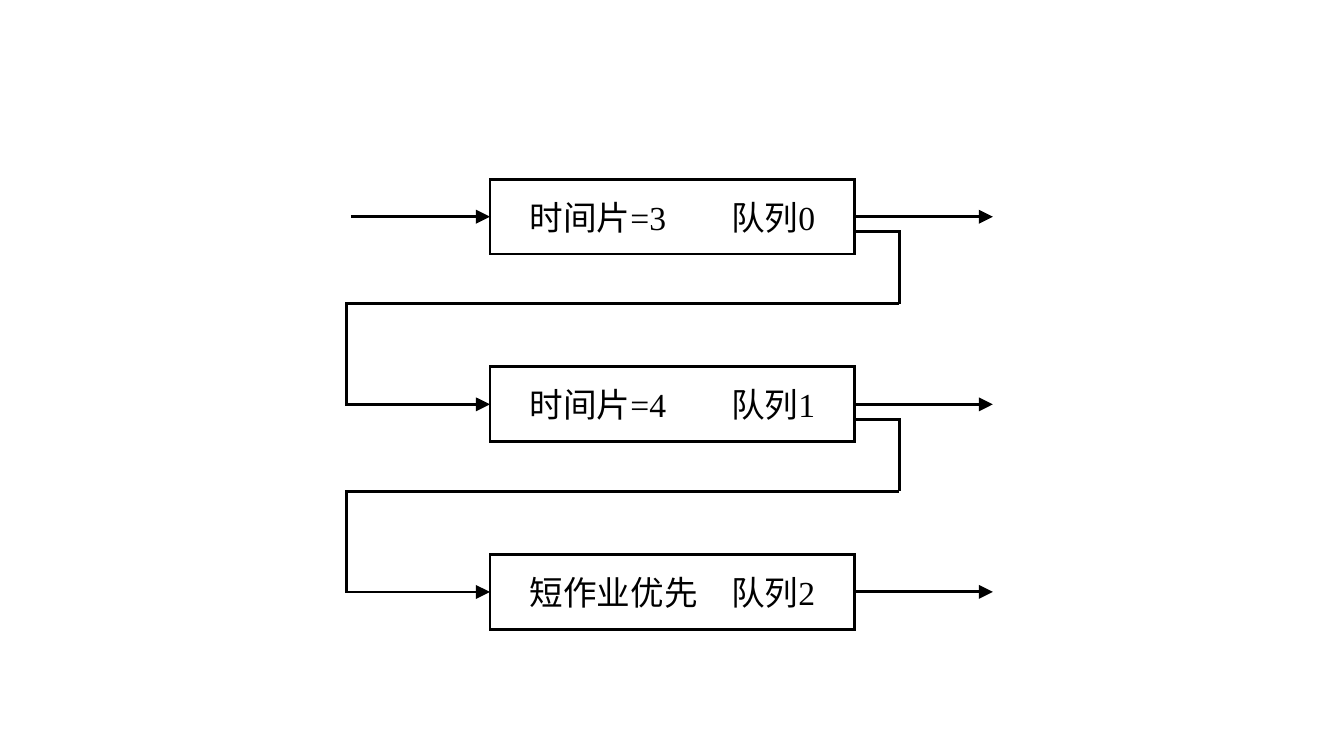
from dataclasses import dataclass

from lxml.etree import SubElement
from pptx import Presentation
from pptx.dml.color import RGBColor
from pptx.enum.shapes import MSO_CONNECTOR, MSO_SHAPE
from pptx.enum.text import MSO_ANCHOR, PP_ALIGN
from pptx.oxml.ns import qn
from pptx.util import Pt

BLACK = "000000"
FONT = "Times New Roman"
BOX_LEFT, BOX_WIDTH, BOX_HEIGHT = 350, 260.6, 53.4
BOX_RIGHT = BOX_LEFT + BOX_WIDTH
NAME_TAB = 144
FIRST_ROW, ROW_PITCH = 154.8, 134
ENTRY_X, EXIT_X = 250.6, 709.2
LOOP_LEFT, LOOP_RIGHT = 247.7, 642.2
LOOP_START, LOOP_TURN = 10.8, 62.2


@dataclass
class Queue:
    policy: str
    name: str


@dataclass
class Link:
    x1: float
    y1: float
    x2: float
    y2: float
    arrow: bool = True
    bend_x: float | None = None


QUEUES = [
    Queue("时间片=3", "队列0"),
    Queue("时间片=4", "队列1"),
    Queue("短作业优先", "队列2"),
]


def color(value: str) -> RGBColor:
    return RGBColor.from_string(value)


def format_line(s, arrow: bool = False) -> None:
    s.line.color.rgb = color(BLACK)
    s.line.width = Pt(2)
    ln = s._element.spPr.find(qn("a:ln"))
    SubElement(ln, qn("a:miter"), lim="800000")
    if arrow:
        SubElement(ln, qn("a:tailEnd"), type="triangle", w="lg", len="lg")


def draw_queue(slide, queue: Queue, y: float) -> None:
    s = slide.shapes.add_shape(
        MSO_SHAPE.RECTANGLE, Pt(BOX_LEFT), Pt(y - BOX_HEIGHT / 2), Pt(BOX_WIDTH), Pt(BOX_HEIGHT)
    )
    s.shadow.inherit = False
    s.fill.background()
    format_line(s)
    tf = s.text_frame
    tf.text = f"{queue.policy}\t{queue.name}"
    tf.vertical_anchor = MSO_ANCHOR.MIDDLE
    p = tf.paragraphs[0]
    p.alignment = PP_ALIGN.CENTER
    tabs = SubElement(p._p.get_or_add_pPr(), qn("a:tabLst"))
    SubElement(tabs, qn("a:tab"), pos=str(Pt(NAME_TAB)), algn="l")
    r = p.runs[0]
    r.font.name = FONT
    r.font.size = Pt(24)
    r.font.color.rgb = color(BLACK)


def draw_link(slide, link: Link) -> None:
    kind = MSO_CONNECTOR.STRAIGHT if link.bend_x is None else MSO_CONNECTOR.ELBOW
    s = slide.shapes.add_connector(kind, Pt(link.x1), Pt(link.y1), Pt(link.x2), Pt(link.y2))
    format_line(s, link.arrow)
    props = s._element.spPr
    if link.bend_x is not None:
        bend = round((link.bend_x - link.x1) / (link.x2 - link.x1) * 100000)
        guides = props.find(qn("a:prstGeom")).find(qn("a:avLst"))
        SubElement(guides, qn("a:gd"), name="adj1", fmla=f"val {bend}")
    SubElement(props, qn("a:effectLst"))


def main() -> None:
    prs = Presentation()
    prs.slide_width, prs.slide_height = Pt(960), Pt(540)
    slide = prs.slides.add_slide(prs.slide_layouts[6])

    links = [Link(ENTRY_X, FIRST_ROW, BOX_LEFT, FIRST_ROW)]
    for i, queue in enumerate(QUEUES):
        y = FIRST_ROW + i * ROW_PITCH
        draw_queue(slide, queue, y)
        links.append(Link(BOX_RIGHT, y, EXIT_X, y))
        if i < len(QUEUES) - 1:
            turn = y + LOOP_TURN
            links.append(Link(BOX_RIGHT, y + LOOP_START, LOOP_RIGHT, turn, False, LOOP_RIGHT))
            links.append(Link(LOOP_RIGHT, turn, BOX_LEFT, y + ROW_PITCH, True, LOOP_LEFT))

    for link in links:
        draw_link(slide, link)
    prs.save("out.pptx")


if __name__ == "__main__":
    main()
